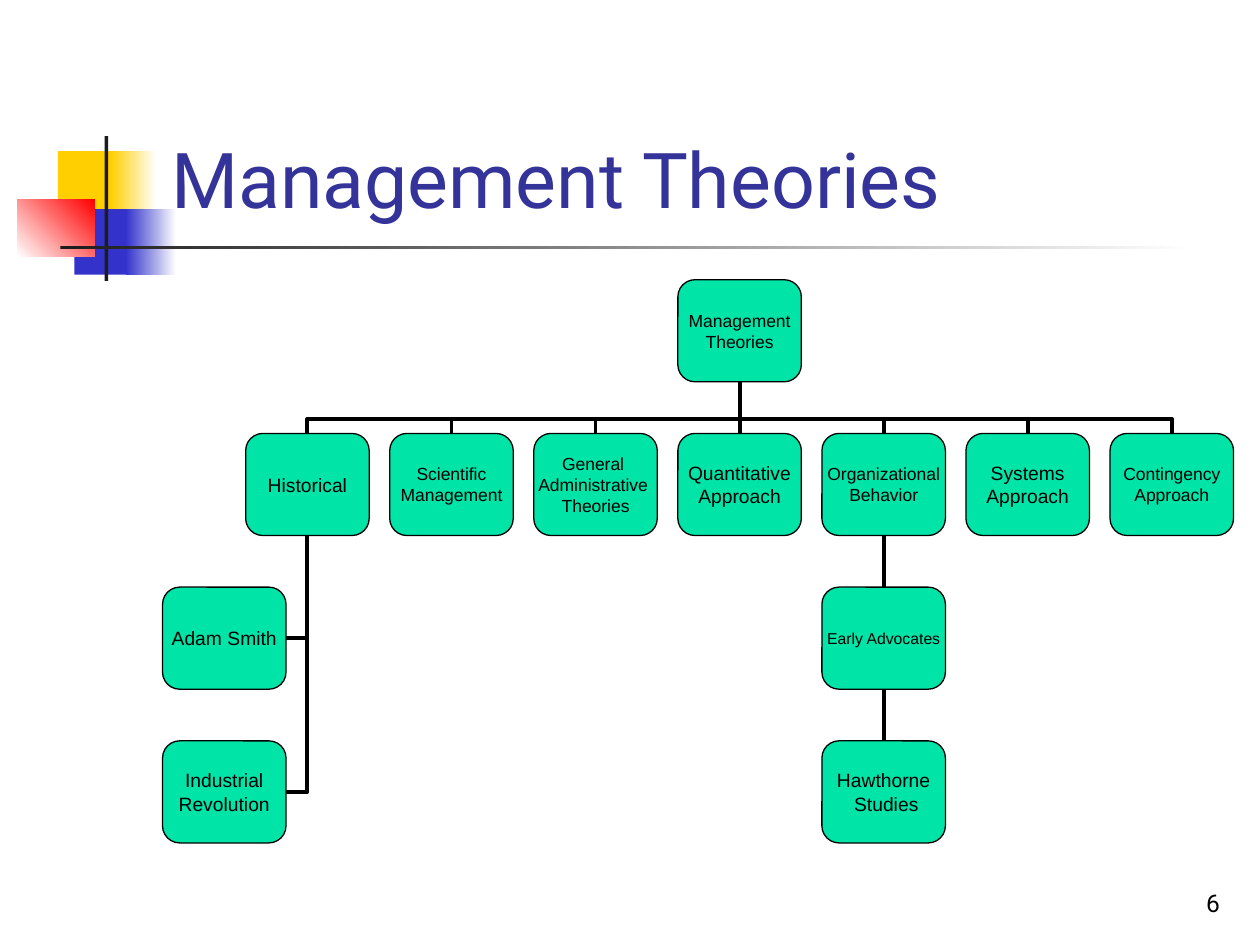
from pptx import Presentation
from pptx.dml.color import RGBColor
from pptx.enum.shapes import MSO_CONNECTOR, MSO_SHAPE
from pptx.enum.text import MSO_ANCHOR, PP_ALIGN
from pptx.oxml.ns import qn
from pptx.util import Inches, Pt
from lxml.etree import SubElement

BOX_WIDTH, BOX_HEIGHT = 0.98, 0.81
FIRST_LEFT, COLUMN_STEP = 1.95, 6.86 / 6
FIRST_TOP, ROW_STEP = 2.22, 1.22
SIDE_LEFT = 1.29
BEND = 28000


def color(value):
    return RGBColor.from_string(value)


def write(frame, text, size, font, ink="000000", align=PP_ALIGN.LEFT,
          anchor=MSO_ANCHOR.BOTTOM, wrap=True):
    frame.word_wrap = wrap
    frame.vertical_anchor = anchor
    for index, line in enumerate(text.split("\n")):
        para = frame.paragraphs[0] if index == 0 else frame.add_paragraph()
        para.alignment = align
        span = para.add_run()
        span.text = line
        span.font.size = Pt(size)
        span.font.name = font
        span.font.color.rgb = color(ink)


class Slide:
    heading_font = "Roboto"
    chart_font = "Arial"
    box_fill = "00E4A8"
    ink = "000000"

    def __init__(self, deck):
        self.page = deck.slides.add_slide(deck.slide_layouts[6])

    def shape(self, kind, place):
        shape = self.page.shapes.add_shape(kind, *map(Inches, place))
        shape.shadow.inherit = False
        return shape

    def bar(self, place, start, end=None, angle=0):
        bar = self.shape(MSO_SHAPE.RECTANGLE, place)
        bar.line.fill.background()
        if end is None:
            bar.fill.solid()
            bar.fill.fore_color.rgb = color(start)
            return
        bar.fill.gradient()
        bar.fill.gradient_angle = angle
        for stop, value in zip(bar.fill.gradient_stops, (start, end)):
            stop.color.rgb = color(value)

    def text(self, place, text, size, **style):
        box = self.page.shapes.add_textbox(*map(Inches, place))
        write(box.text_frame, text, size, self.heading_font, **style)

    def box(self, left, top, text, size):
        box = self.shape(MSO_SHAPE.ROUNDED_RECTANGLE, (left, top, BOX_WIDTH, BOX_HEIGHT))
        box.adjustments[0] = 0.167
        box.fill.solid()
        box.fill.fore_color.rgb = color(self.box_fill)
        box.line.color.rgb = color(self.ink)
        box.line.width = Pt(0.75)
        frame = box.text_frame
        frame.margin_left = frame.margin_right = frame.margin_top = frame.margin_bottom = 0
        write(frame, text, size, self.chart_font, align=PP_ALIGN.CENTER,
              anchor=MSO_ANCHOR.MIDDLE, wrap=False)

    def connector(self, start, end, kind=MSO_CONNECTOR.STRAIGHT):
        line = self.page.shapes.add_connector(kind, *map(Inches, (*start, *end)))
        line.line.color.rgb = color(self.ink)
        line.line.width = Pt(2.25)
        properties = line._element.spPr
        SubElement(properties, qn("a:effectLst"))
        return properties

    def branch(self, child, parent):
        middle_x = (child[0] + parent[0]) / 2
        middle_y = (child[1] + parent[1]) / 2
        half_rise = (child[1] - parent[1]) / 2
        half_run = (child[0] - parent[0]) / 2
        properties = self.connector((middle_x - half_rise, middle_y + half_run),
                                    (middle_x + half_rise, middle_y - half_run),
                                    MSO_CONNECTOR.ELBOW)
        properties.find(qn("a:xfrm")).set("rot", str(270 * 60000))
        guides = properties.find(qn("a:prstGeom")).find(qn("a:avLst"))
        SubElement(guides, qn("a:gd"), name="adj1", fmla=f"val {BEND}")

    def side_branch(self, child, parent):
        properties = self.connector(child, parent, MSO_CONNECTOR.ELBOW)
        properties.find(qn("a:prstGeom")).set("prst", "bentConnector2")


def column_left(column):
    return FIRST_LEFT + column * COLUMN_STEP


def column_center(column):
    return column_left(column) + BOX_WIDTH / 2


def row_top(row):
    return FIRST_TOP + row * ROW_STEP


def row_bottom(row):
    return row_top(row) + BOX_HEIGHT


def main():
    deck = Presentation()
    deck.slide_width, deck.slide_height = Inches(10), Inches(7.5)
    slide = Slide(deck)

    slide.bar((0.46, 1.2, 0.48, 0.52), "FFCF01")
    slide.bar((0.88, 1.2, 0.36, 0.52), "FFCF01", "FFFFFF")
    slide.bar((0.59, 1.66, 0.46, 0.52), "3333CC")
    slide.bar((1, 1.66, 0.4, 0.52), "3333CC", "FFFFFF")
    slide.bar((0.14, 1.58, 0.61, 0.46), "FFFFFF", "FF0000", angle=45)
    slide.bar((0.83, 1.08, 0.03, 1.15), "1C1C1C")
    slide.bar((0.48, 1.95, 9, 0.03), "1C1C1C", "FFFFFF")
    slide.text((7.7, 6.83, 2.08, 0.5), "6", 14, align=PP_ALIGN.RIGHT)
    slide.text((1.26, 0.23, 8.52, 1.6), "Management Theories", 44, ink="333399")

    theories = [
        ("Historical", 11),
        ("Scientific\nManagement", 10),
        ("General \nAdministrative \nTheories", 10),
        ("Quantitative\nApproach", 11),
        ("Organizational\nBehavior", 10),
        ("Systems\nApproach", 11),
        ("Contingency\nApproach", 10),
    ]
    historical = [("Adam Smith", 11), ("Industrial\nRevolution", 11)]
    behavior = [("Early Advocates", 9), ("Hawthorne\n Studies", 11)]
    root_column, behavior_column = 3, 4
    root = (column_center(root_column), row_bottom(0))

    for column in range(len(theories)):
        child = (column_center(column), row_top(1))
        if column == root_column:
            slide.connector(child, root)
        else:
            slide.branch(child, root)
    for row in range(2, 4):
        slide.side_branch((SIDE_LEFT + BOX_WIDTH, row_top(row) + BOX_HEIGHT / 2),
                          (column_center(0), row_bottom(1)))
        center = column_center(behavior_column)
        slide.connector((center, row_top(row)), (center, row_bottom(row - 1)))

    slide.box(column_left(root_column), row_top(0), "Management\nTheories", 10)
    for column, (text, size) in enumerate(theories):
        slide.box(column_left(column), row_top(1), text, size)
    for left, labels in ((SIDE_LEFT, historical), (column_left(behavior_column), behavior)):
        for row, (text, size) in enumerate(labels, start=2):
            slide.box(left, row_top(row), text, size)

    deck.save("out.pptx")


if __name__ == "__main__":
    main()
